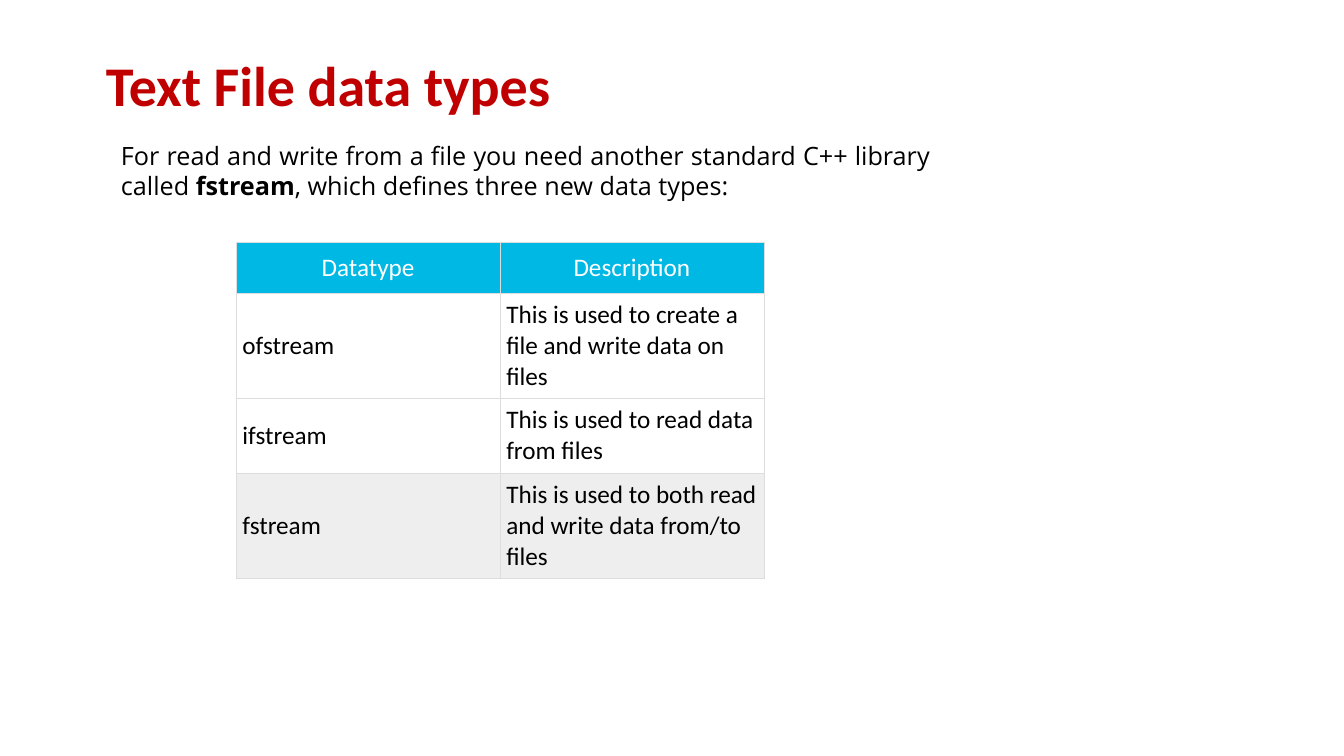
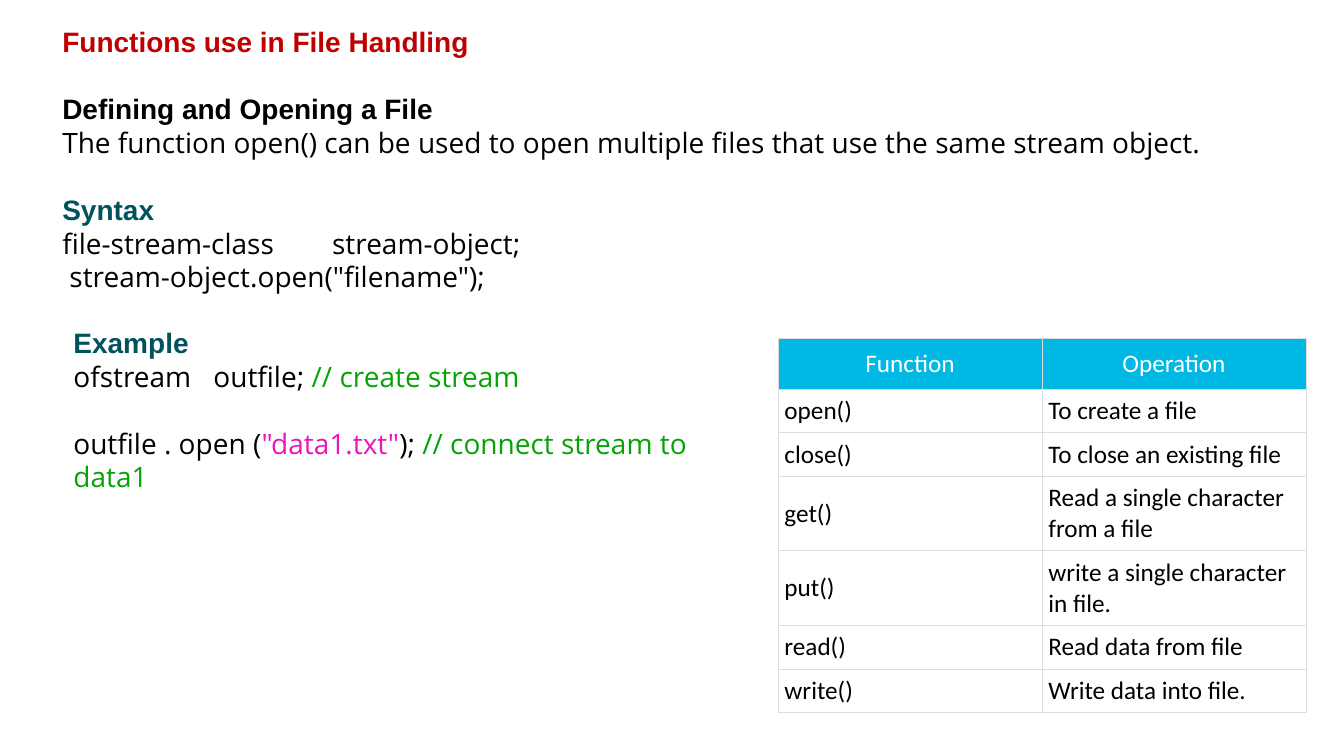
"""Build two slides on C++ file streams and file-handling functions."""
from dataclasses import dataclass
from math import ceil

from lxml.etree import SubElement
from pptx import Presentation
from pptx.dml.color import RGBColor
from pptx.enum.shapes import MSO_SHAPE as Shape
from pptx.enum.text import MSO_ANCHOR as Anchor, MSO_AUTO_SIZE as AutoSize, PP_ALIGN as Align
from pptx.oxml import parse_xml
from pptx.oxml.ns import nsdecls, qn
from pptx.util import Cm, Pt


@dataclass(frozen=True)
class Theme:
    """Colours, fonts and sizes shared by the slides."""
    red: str = "C00000"
    black: str = "000000"
    white: str = "FFFFFF"
    teal: str = "00535E"
    green: str = "05A305"
    pink: str = "EE14BA"
    header: str = "00B8E4"
    shade: str = "EEEEEE"
    border: str = "DDDDDD"
    title_font: str = "Calibri"
    heading_font: str = "Arial"
    body_font: str = "Open Sans"
    title_size: int = 40
    text_size: int = 20
    small_size: int = 18
    line_factor: float = 1.2


THEME = Theme()
TEXT_INSET = 0.18
CELL_INSET = 0.16
HEADER_INSET = 0.25
COLUMN_WIDTH = 6.65
TABLE_LINE = 0.78
CHARS_PER_LINE = 25


def write(para, text, font=THEME.body_font, size=THEME.text_size, color=THEME.black, bold=False):
    """Add one formatted span to a paragraph."""
    span = para.add_run()
    span.text = text
    span.font.name = font
    span.font.size = Pt(size)
    span.font.color.rgb = RGBColor.from_string(color)
    span.font.bold = bold


def paint(target, color):
    """Give a shape or cell a solid fill."""
    target.fill.solid()
    target.fill.fore_color.rgb = RGBColor.from_string(color)


def set_frame(frame, inset, anchor):
    """Set wrapping, anchor and equal insets in centimetres."""
    frame.word_wrap = True
    frame.auto_size = AutoSize.NONE
    frame.vertical_anchor = anchor
    frame.margin_left = frame.margin_right = Cm(inset)
    frame.margin_top = frame.margin_bottom = Cm(inset)


def add_title(page, text, area, inset, **look):
    """Place and format the title placeholder in front of the other shapes."""
    title = page.shapes.title
    title.left, title.top, title.width, title.height = map(Cm, area)
    set_frame(title.text_frame, inset, Anchor.MIDDLE)
    para = title.text_frame.paragraphs[0]
    para.alignment = Align.LEFT
    write(para, text, color=THEME.red, bold=True, **look)
    title._element.getparent().append(title._element)


def set_tab(para, position):
    """Give a paragraph one left tab stop."""
    tabs = SubElement(para._p.get_or_add_pPr(), qn("a:tabLst"))
    SubElement(tabs, qn("a:tab"), pos=str(Cm(position)), algn="l")


def add_text(page, area, lines, inset=TEXT_INSET, size=THEME.text_size,
             anchor=Anchor.MIDDLE, align=Align.LEFT):
    """Add a white text panel from (spans, layout) lines."""
    panel = page.shapes.add_shape(Shape.RECTANGLE, *map(Cm, area))
    panel.shadow.inherit = False
    panel.line.fill.background()
    paint(panel, THEME.white)
    frame = panel.text_frame
    set_frame(frame, inset, anchor)
    pitch = Pt(size * THEME.line_factor)
    for index, (spans, layout) in enumerate(lines):
        para = frame.add_paragraph() if index else frame.paragraphs[0]
        para.alignment = align
        para.line_spacing = pitch
        if layout.get("gap"):
            para.space_before = pitch
        if "indent" in layout:
            para._p.get_or_add_pPr().set("marL", str(Cm(layout["indent"])))
        if "tab" in layout:
            set_tab(para, layout["tab"])
        for text, look in spans:
            write(para, text, size=size, **look)


def add_borders(cell):
    """Draw a thin line on each side of a cell."""
    properties = cell._tc.get_or_add_tcPr()
    for index, side in enumerate("LRTB"):
        properties.insert(index, parse_xml(
            f'<a:ln{side} {nsdecls("a")} w="{Pt(0.6)}"><a:solidFill>'
            f'<a:srgbClr val="{THEME.border}"/></a:solidFill></a:ln{side}>'))


def fill_cell(cell, text, fill, is_header):
    """Write and format one table cell."""
    paint(cell, fill)
    cell.vertical_anchor = Anchor.MIDDLE
    cell.margin_left = cell.margin_right = Cm(CELL_INSET)
    cell.margin_top = cell.margin_bottom = Cm(HEADER_INSET if is_header else CELL_INSET)
    para = cell.text_frame.paragraphs[0]
    para.alignment = Align.CENTER if is_header else Align.LEFT
    write(para, text, font=THEME.title_font, size=THEME.small_size,
          color=THEME.white if is_header else THEME.black)
    add_borders(cell)


def add_grid(page, left, top, rows, shaded_row=None):
    """Add a two-column table with a coloured header row."""
    heights = [TABLE_LINE * ceil(len(row[1]) / CHARS_PER_LINE)
               + 2 * (CELL_INSET if index else HEADER_INSET)
               for index, row in enumerate(rows)]
    columns = len(rows[0])
    table = page.shapes.add_table(len(rows), columns, Cm(left), Cm(top),
                                  Cm(COLUMN_WIDTH * columns), Cm(sum(heights))).table
    table.first_row = table.horz_banding = False
    for column in table.columns:
        column.width = Cm(COLUMN_WIDTH)
    for index, row in enumerate(rows):
        table.rows[index].height = Cm(heights[index])
        fill = THEME.shade if index == shaded_row else THEME.white
        for position, text in enumerate(row):
            fill_cell(table.cell(index, position), text,
                      fill if index else THEME.header, index == 0)


def build_data_types(page):
    """Fill the slide on stream data types."""
    add_grid(page, 5.95, 6.1, [
        ("Datatype", "Description"),
        ("ofstream", "This is used to create a file and write data on files"),
        ("ifstream", "This is used to read data from files"),
        ("fstream", "This is used to both read and write data from/to files"),
    ], shaded_row=3)
    add_text(page, (3.05, 3.52, 20.4, 1.55), [
        ([("For read and write from a file you need another standard C++ library called ", {}),
          ("fstream", {"bold": True}),
          (", which defines three new data types:", {})], {}),
    ], inset=0, size=THEME.small_size, align=Align.JUSTIFY)
    add_title(page, "Text File data types", (2.42, 1.14, 16.8, 1.96), 0.25,
              font=THEME.title_font, size=THEME.title_size)


def build_functions(page):
    """Fill the slide on file-handling functions."""
    heading = {"font": THEME.heading_font, "bold": True}
    section = {**heading, "color": THEME.teal}
    comment = {"color": THEME.green}
    add_grid(page, 19.61, 8.52, [
        ("Function", "Operation"),
        ("open()", "To create a file"),
        ("close()", "To close an existing file"),
        ("get()", "Read a single character from a file"),
        ("put()", "write a single character in file."),
        ("read()", "Read data from file"),
        ("write()", "Write data into file."),
    ])
    add_text(page, (1.39, 0.4, 30.2, 7.17), [
        ([("Defining and Opening a File", heading)], {}),
        ([("The function open() can be used to open multiple files that use "
           "the same stream object.", {})], {}),
        ([("Syntax", section)], {"gap": True}),
        ([("file-stream-class\tstream-object;", {})], {"tab": 6.8}),
        ([('stream-object.open("filename");', {})], {"indent": 0.18}),
    ], anchor=Anchor.BOTTOM)
    add_text(page, (1.67, 8.43, 17.37, 3.78), [
        ([("Example", section)], {}),
        ([("ofstream\toutfile; ", {}), ("// create stream", comment)], {"tab": 3.53}),
        ([("outfile . open (", {}), ('"data1.txt"', {"color": THEME.pink}),
          ("); ", {}), ("// connect stream to data1", comment)], {"gap": True}),
    ])
    add_title(page, "Functions use in File Handling", (1.39, 0.44, 30.2, 1.21), TEXT_INSET,
              font=THEME.heading_font)


def main():
    """Build and save the deck."""
    deck = Presentation()
    deck.slide_width, deck.slide_height = Cm(33.87), Cm(19.05)
    title_only = deck.slide_layouts.get_by_name("Title Only")
    for build in (build_data_types, build_functions):
        build(deck.slides.add_slide(title_only))
    deck.save("out.pptx")


if __name__ == "__main__":
    main()
